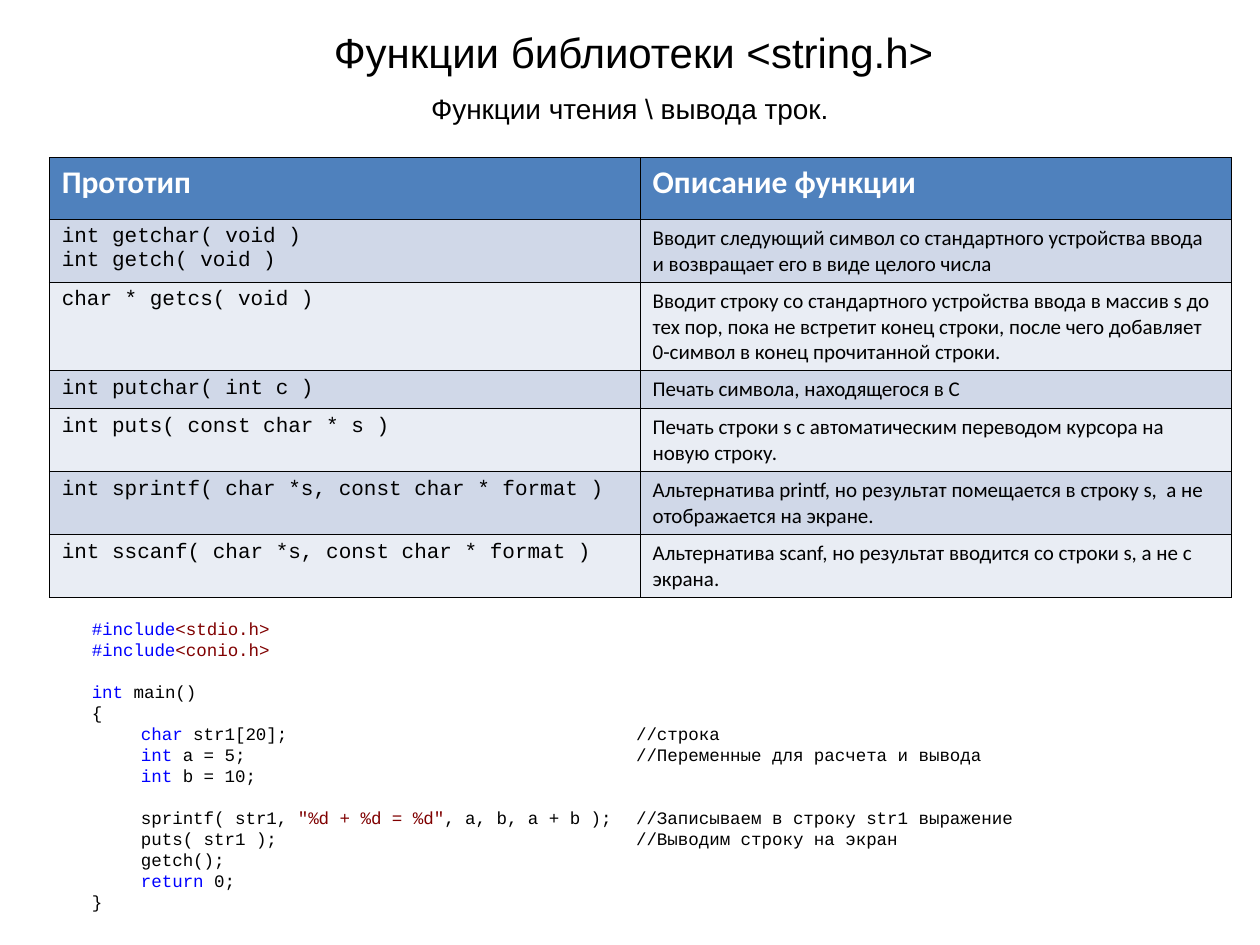
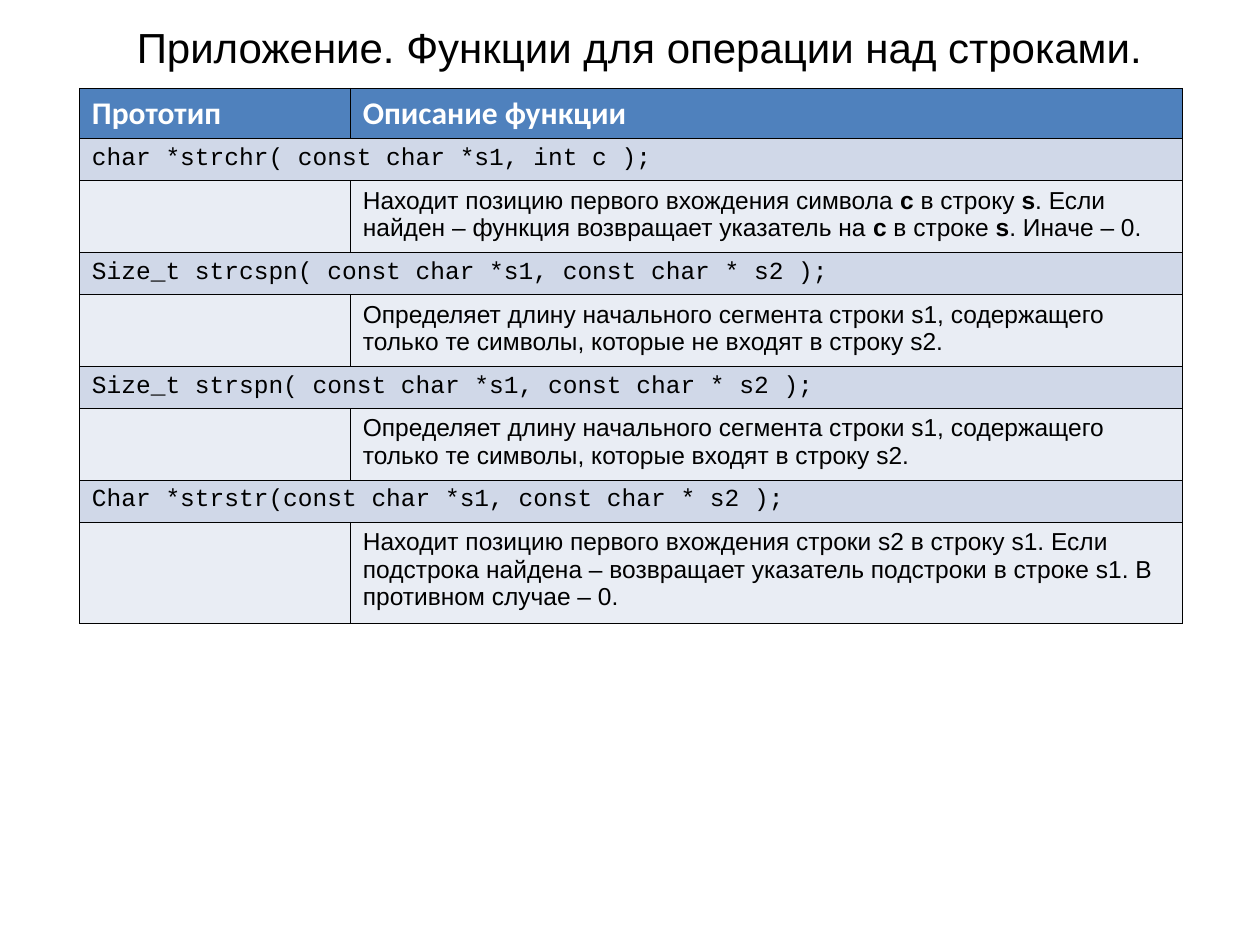
from lxml.etree import SubElement
from pptx import Presentation
from pptx.dml.color import RGBColor
from pptx.enum.text import MSO_ANCHOR as Anchor, MSO_AUTO_SIZE as AutoSize, PP_ALIGN as Align
from pptx.oxml.ns import qn
from pptx.util import Pt

PX = 9144
BLACK, WHITE = "000000", "FFFFFF"
HEADER_FILL, BAND_FILLS = "4F81BD", ["D0D8E8", "E9EDF4"]
KEYWORD, LITERAL = "0000FF", "800000"
SANS, TABLE_FONT, MONO = "Arial", "Calibri", "Courier New"
HEADER = ["Прототип", "Описание функции"]
CODE_LINE = 12
CODE_TABS = [39, 432]


def rgb(value):
    return RGBColor.from_string(value)


def write(paragraph, text, font, size, color=BLACK):
    marked = []
    for index, piece in enumerate(text.split("¦")):
        if not piece:
            continue
        run = paragraph.add_run()
        run.text = piece
        run.font.name = font
        run.font.size = Pt(size)
        run.font.color.rgb = rgb(color)
        run.font.bold = False
        if index % 2:
            marked.append(run)
    return marked


presentation = Presentation()
presentation.slide_width = 1000 * PX
presentation.slide_height = 750 * PX
blank = presentation.slide_layouts[6]
reading_slide = presentation.slides.add_slide(blank)
search_slide = presentation.slides.add_slide(blank)

headings = [
    (reading_slide, "Функции чтения \\ вывода трок.", (12, 68, 976, 37), 16),
    (reading_slide, "Функции библиотеки <string.h> ", (23, 16, 969, 50), 24),
    (search_slide, "Приложение. Функции для операции над строками.", (23, 12, 969, 50), 24),
]
for slide, text, box, size in headings:
    shape = slide.shapes.add_textbox(*[length * PX for length in box])
    shape.text_frame.word_wrap = True
    shape.text_frame.auto_size = AutoSize.SHAPE_TO_FIT_TEXT
    paragraph = shape.text_frame.paragraphs[0]
    paragraph.alignment = Align.CENTER
    write(paragraph, text, SANS, size)

reading_rows = [
    ["int getchar( void )\nint getch( void )",
     "Вводит следующий символ со стандартного устройства ввода и возвращает его в виде целого числа"],
    ["char * getcs( void )",
     "Вводит строку со стандартного устройства ввода в массив s до тех пор, пока не встретит "
     "конец строки, после чего добавляет 0-символ в конец прочитанной строки."],
    ["int putchar( int c )", "Печать символа, находящегося в С"],
    ["int puts( const char * s )",
     "Печать строки s с автоматическим переводом курсора на новую строку."],
    ["int sprintf( char *s, const char * format )",
     "Альтернатива printf, но результат помещается в строку s,  а не отображается на экране."],
    ["int sscanf( char *s, const char * format )",
     "Альтернатива scanf, но результат вводится со строки s, а не с экрана."],
]
search_functions = [
    ("char *strchr( const char *s1, int c );",
     "Находит позицию первого вхождения символа ¦с¦ в строку ¦s¦. Если найден – функция "
     "возвращает указатель на ¦с¦ в строке ¦s¦. Иначе – 0."),
    ("Size_t strcspn( const char *s1, const char * s2 );",
     "Определяет длину начального сегмента строки s1, содержащего только те символы, "
     "которые не входят в строку s2."),
    ("Size_t strspn( const char *s1, const char * s2 );",
     "Определяет длину начального сегмента строки s1, содержащего только те символы, "
     "которые входят в строку s2."),
    ("Char *strstr(const char *s1, const char * s2 );",
     "Находит позицию первого вхождения строки s2 в строку s1. Если подстрока найдена – "
     "возвращает указатель подстроки в строке s1. В противном случае – 0."),
]
search_rows = []
for prototype, description in search_functions:
    search_rows += [[prototype, None], ["", description]]

tables = [
    (reading_slide, (39, 125), [469, 469], [49, 50, 70, 30, 50, 50, 50],
     reading_rows, TABLE_FONT, 12),
    (search_slide, (63, 70), [215, 660], [40] + [33, 57] * 3 + [33, 80],
     search_rows, SANS, 14),
]
for slide, (left, top), widths, heights, rows, description_font, size in tables:
    table = slide.shapes.add_table(
        len(heights), len(widths), left * PX, top * PX, sum(widths) * PX, sum(heights) * PX).table
    table.first_row = False
    table.horz_banding = False
    for column, width in zip(table.columns, widths):
        column.width = width * PX
    for row, height in zip(table.rows, heights):
        row.height = height * PX
    for row_index, texts in enumerate([HEADER] + rows):
        is_header = row_index == 0
        fill = HEADER_FILL if is_header else BAND_FILLS[(row_index - 1) % 2]
        for column_index, text in enumerate(texts):
            cell = table.cell(row_index, column_index)
            properties = cell._tc.get_or_add_tcPr()
            for side in ["lnL", "lnR", "lnT", "lnB"]:
                line = SubElement(properties, qn(f"a:{side}"), w=str(Pt(0.45)))
                SubElement(SubElement(line, qn("a:solidFill")), qn("a:srgbClr"), val=BLACK)
            cell.fill.solid()
            cell.fill.fore_color.rgb = rgb(fill)
            if text is None:
                table.cell(row_index, 0).merge(cell)
                continue
            cell.text_frame.text = text
            for paragraph in cell.text_frame.paragraphs:
                content = paragraph.text
                paragraph.clear()
                if is_header:
                    write(paragraph, f"¦{content}¦", TABLE_FONT, 18, WHITE)[0].font.bold = True
                else:
                    font = description_font if column_index else MONO
                    for run in write(paragraph, content, font, size):
                        run.font.bold = True

code_blocks = [
    ["¦#include¦¦<stdio.h>¦", "¦#include¦¦<conio.h>¦"],
    ["¦int¦ main()",
     "{",
     "\t¦char¦ str1[20];\t//строка",
     "\t¦int¦ a = 5;\t//Переменные для расчета и вывода",
     "\t¦int¦ b = 10;"],
    ["\tsprintf( str1, ¦\"%d + %d = %d\"¦, a, b, a + b );\t//Записываем в строку str1 выражение",
     "\tputs( str1 );\t//Выводим строку на экран",
     "\tgetch();",
     "\t¦return¦ 0;",
     "}"],
]
shape = reading_slide.shapes.add_textbox(63 * PX, 485 * PX, 898 * PX, 244 * PX)
text_frame = shape.text_frame
text_frame.word_wrap = True
text_frame.auto_size = AutoSize.SHAPE_TO_FIT_TEXT
text_frame.vertical_anchor = Anchor.MIDDLE
for block_index, block in enumerate(code_blocks):
    for line_index, code in enumerate(block):
        is_first = block_index == line_index == 0
        paragraph = text_frame.paragraphs[0] if is_first else text_frame.add_paragraph()
        if block_index and line_index == 0:
            paragraph.space_before = Pt(CODE_LINE)
        tab_list = SubElement(paragraph._p.get_or_add_pPr(), qn("a:tabLst"))
        for position in CODE_TABS:
            SubElement(tab_list, qn("a:tab"), pos=str(position * PX), algn="l")
        for run in write(paragraph, code, MONO, 10):
            run.font.color.rgb = rgb(LITERAL if run.text[0] in "<\"" else KEYWORD)

presentation.save("out.pptx")
